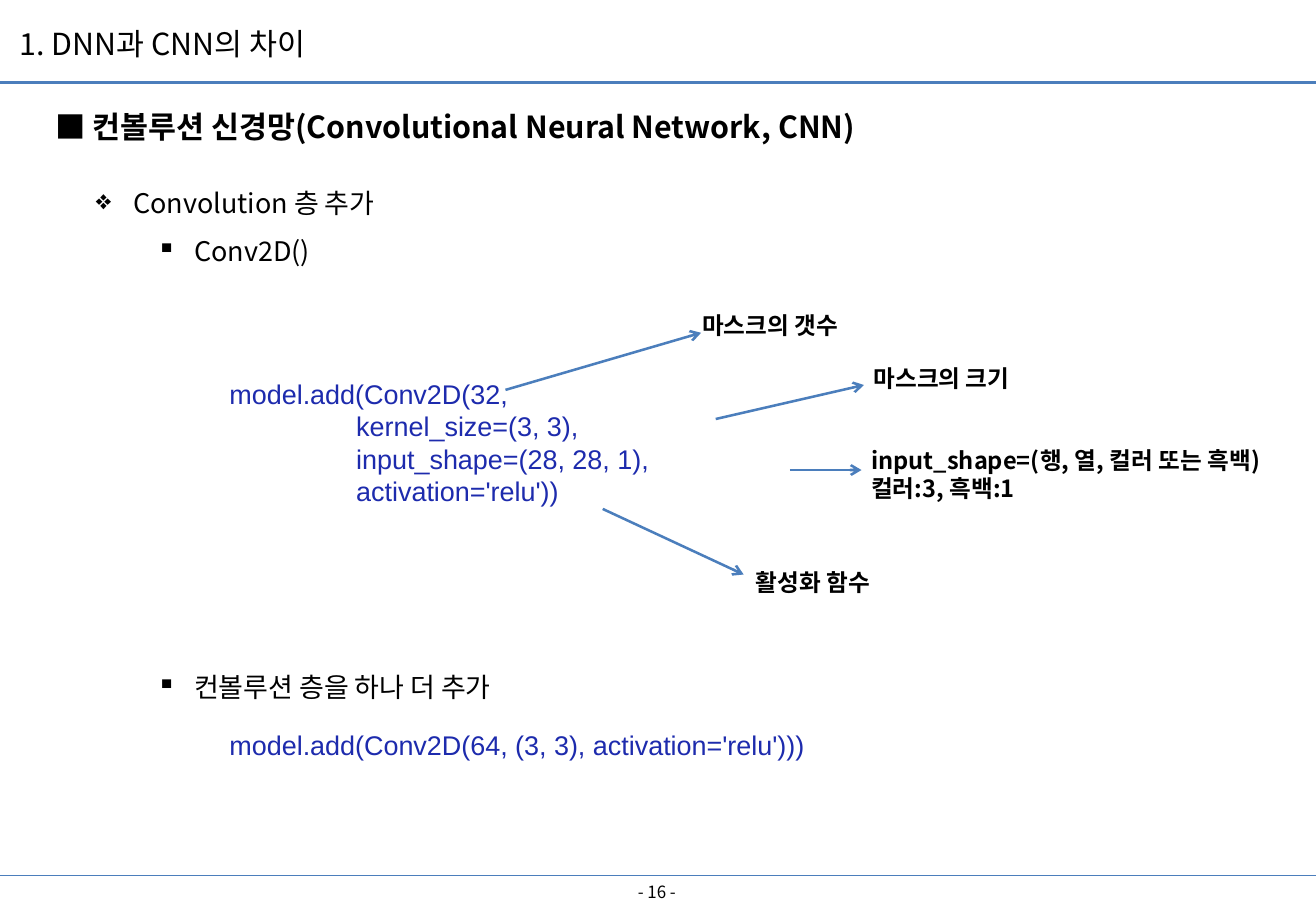
import pptx
import pptx.dml.color
import pptx.enum.shapes
import pptx.enum.text
import pptx.oxml.ns
import pptx.util
from lxml import etree

Inches = pptx.util.Inches
Pt = pptx.util.Pt
qn = pptx.oxml.ns.qn
ALIGN = pptx.enum.text.PP_ALIGN
ANCHOR = pptx.enum.text.MSO_ANCHOR

BLACK = pptx.dml.color.RGBColor(0x00, 0x00, 0x00)
CODE_BLUE = pptx.dml.color.RGBColor(0x1D, 0x2B, 0xAD)
LINE_BLUE = pptx.dml.color.RGBColor(0x4B, 0x7E, 0xBC)

KOREAN = "Noto Sans CJK KR"
SLIDE_WIDTH, SLIDE_HEIGHT = 10.83, 7.5
LINE_HEIGHT = 1.2

TITLE = {"name": KOREAN, "size": Pt(18), "bold": False}
HEADING = {"name": KOREAN, "size": Pt(18), "bold": True}
BODY = {"name": KOREAN, "size": Pt(16), "bold": False}
LABEL = {"name": KOREAN, "size": Pt(14), "bold": True}
NUMBER = {"name": KOREAN, "size": Pt(10), "bold": False}
CODE = {"name": "Arial", "size": Pt(16), "bold": False}


def fill_text(shape, lines, font, color=BLACK, spacing=None,
              align=ALIGN.LEFT, anchor=ANCHOR.TOP):
    """Write one paragraph per line and return the paragraphs."""
    frame = shape.text_frame
    frame.word_wrap = True
    frame.auto_size = pptx.enum.text.MSO_AUTO_SIZE.NONE
    frame.vertical_anchor = anchor
    frame.text = "\n".join(lines)
    for paragraph in frame.paragraphs:
        paragraph.alignment = align
        paragraph.line_spacing = spacing or Pt(font["size"].pt * LINE_HEIGHT)
        for run in paragraph.runs:
            for attribute, value in font.items():
                setattr(run.font, attribute, value)
            run.font.color.rgb = color
            east_asian = etree.SubElement(run.font._element, qn("a:ea"))
            east_asian.set("typeface", font["name"])
    return frame.paragraphs


def add_text(slide, box, lines, font, **options):
    shape = slide.shapes.add_textbox(*map(Inches, box))
    return fill_text(shape, lines, font, **options)


def add_line(slide, start, end, width, arrow=False):
    connector = slide.shapes.add_connector(
        pptx.enum.shapes.MSO_CONNECTOR.STRAIGHT, *map(Inches, (*start, *end)))
    connector.line.color.rgb = LINE_BLUE
    connector.line.width = Pt(width)
    if arrow:
        etree.SubElement(connector.line._get_or_add_ln(), qn("a:tailEnd"), type="arrow")
    etree.SubElement(connector._element.spPr, qn("a:effectLst"))


def add_bullet(paragraph, symbol, margin, hanging=0.31):
    properties = paragraph._element.get_or_add_pPr()
    properties.set("marL", str(Inches(margin)))
    properties.set("indent", str(-Inches(hanging)))
    etree.SubElement(properties, qn("a:buChar"), char=symbol)


def build_header(slide, box):
    left, top, width, height = box
    title = slide.shapes.title
    title.left, title.top = Inches(left + 0.06), Inches(top + 0.16)
    title.width, title.height = Inches(4), Inches(0.4)
    fill_text(title, ["1. DNN과 CNN의 차이"], TITLE)
    bottom = top + height
    add_line(slide, (left, bottom), (left + width, bottom), 2.25)


def build_outline(slide, box):
    left, top, width, height = box
    add_text(slide, (left, top, width, 0.5),
             ["■ 컨볼루션 신경망(Convolutional Neural Network, CNN)"],
             HEADING, spacing=Pt(33))
    items = [("❖", 0.31, "Convolution 층 추가"),
             ("▪", 0.81, "Conv2D()"),
             ("▪", 0.81, "컨볼루션 층을 하나 더 추가")]
    paragraphs = add_text(slide, (left + 0.33, top + 0.68, 9.61, height - 0.68),
                          [text for _, _, text in items], BODY, spacing=Pt(28.4))
    # Room for the annotated code between the last two items
    paragraphs[-1].space_before = Pt(230)
    for paragraph, (symbol, margin, _) in zip(paragraphs, items):
        add_bullet(paragraph, symbol, margin)


def build_code(slide, box):
    left, top, width, height = box
    indent = " " * 17
    arguments = ["kernel_size=(3, 3),", "input_shape=(28, 28, 1),", "activation='relu'))"]
    add_text(slide, (left, top + 0.55, 4.8, 1.18),
             ["model.add(Conv2D(32,"] + [indent + argument for argument in arguments],
             CODE, color=CODE_BLUE)
    add_text(slide, (left, top + height - 0.37, 5.7, 0.37),
             ["model.add(Conv2D(64, (3, 3), activation='relu')))"],
             CODE, color=CODE_BLUE)

    # Labels: position, size, lines, arrow start and arrow end
    notes = [
        ((3.89, 0, 1.45, 0.34), ["마스크의 갯수"], (2.37, 0.7), (3.98, 0.23)),
        ((5.3, 0.44, 1.45, 0.34), ["마스크의 크기"], (4.1, 0.94), (5.32, 0.66)),
        ((5.28, 1.11, 3.62, 0.81), ["input_shape=(행, 열, 컬러 또는 흑백)", "컬러:3, 흑백:1"],
         (4.71, 1.36), (5.3, 1.36)),
        ((4.33, 2.12, 1.25, 0.34), ["활성화 함수"], (3.17, 1.68), (4.33, 2.22)),
    ]
    for (x, y, *size), lines, start, end in notes:
        add_text(slide, (left + x, top + y, *size), lines, LABEL)
        add_line(slide, (left + start[0], top + start[1]),
                 (left + end[0], top + end[1]), 1.5, arrow=True)


def build_footer(slide, box):
    left, top, width, height = box
    add_line(slide, (left, top), (left + width, top), 0.75)
    number_width = 2.53
    add_text(slide, (left + (width - number_width) / 2 - 0.01, top, number_width, 0.26),
             ["- 16 -"], NUMBER, align=ALIGN.CENTER, anchor=ANCHOR.MIDDLE)


def main():
    presentation = pptx.Presentation()
    presentation.slide_width = Inches(SLIDE_WIDTH)
    presentation.slide_height = Inches(SLIDE_HEIGHT)
    slide = presentation.slides.add_slide(presentation.slide_layouts.get_by_name("Title Only"))
    build_header(slide, (0, 0, SLIDE_WIDTH, 0.68))
    build_outline(slide, (0.36, 0.68, 10.41, 5.2))
    build_code(slide, (1.79, 2.51, 8.9, 3.81))
    build_footer(slide, (0, 7.21, SLIDE_WIDTH, 0.29))
    presentation.save("out.pptx")


if __name__ == "__main__":
    main()
